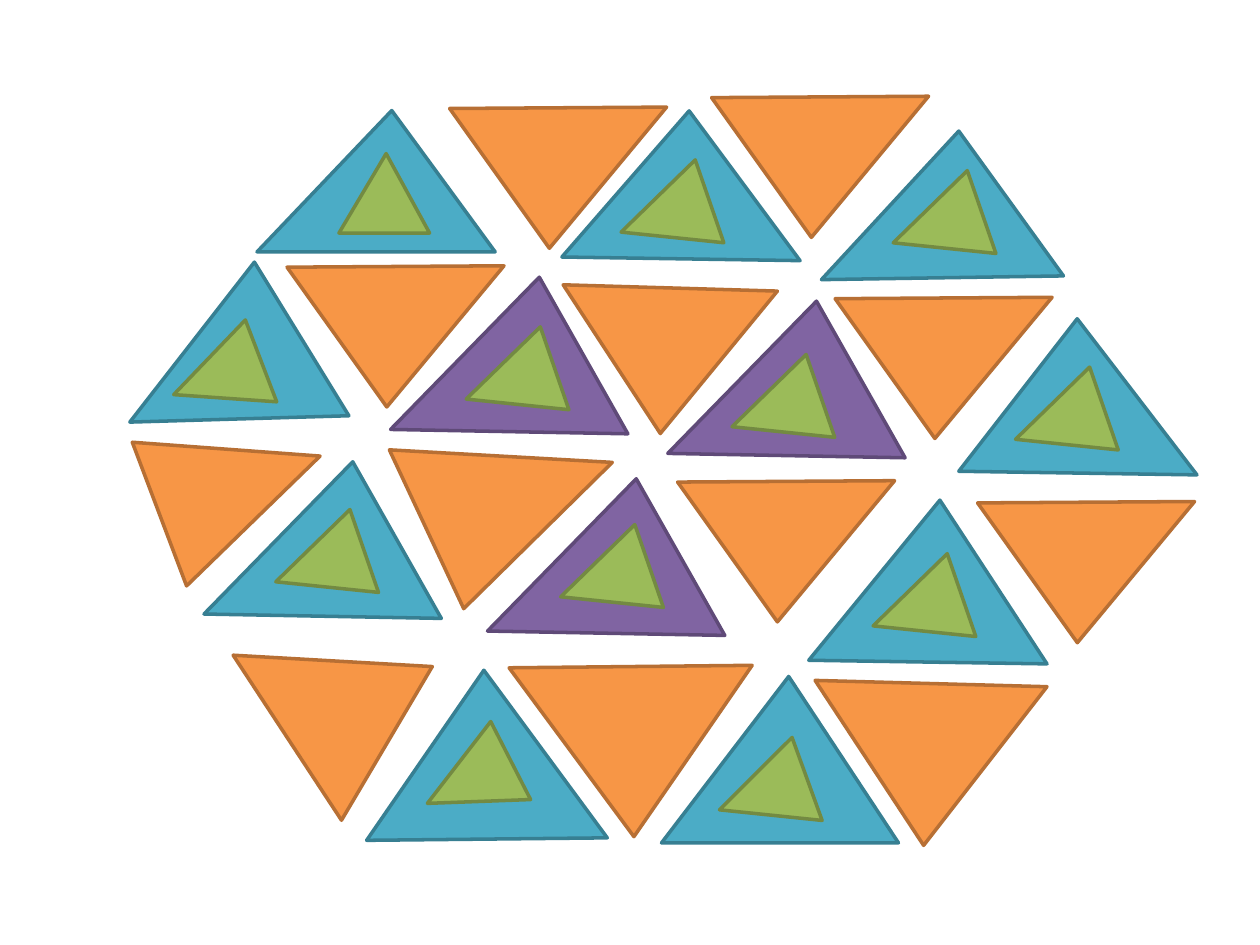
from dataclasses import dataclass
from math import cos, radians, sin

from lxml import etree
from pptx import Presentation
from pptx.dml.color import RGBColor
from pptx.enum.shapes import MSO_SHAPE
from pptx.oxml.ns import qn
from pptx.util import Pt

TRIANGLE = MSO_SHAPE.ISOSCELES_TRIANGLE
BLANK_LAYOUT = 6
Point = tuple[float, float]

FILLS = {"orange": "F79646", "blue": "4BACC6", "purple": "8064A2", "green": "9BBB59"}
LINES = {"orange": "B76F34", "blue": "377F92", "purple": "5F4A78", "green": "738A42"}


@dataclass
class Tile:
    """A triangle by its visible corners and the turn of its frame."""
    corners: list[Point]
    turn: float
    color: str


@dataclass
class Core:
    """The small green triangle inside an upright tile."""
    left: float
    top: float
    width: float = 59
    turn: float = 5.9
    peak: float = 0.642
    height: float = 45.4


def rotate(point: Point, degrees: float) -> Point:
    x, y = point
    angle = radians(degrees)
    return x * cos(angle) - y * sin(angle), x * sin(angle) + y * cos(angle)


def middle(values: list[float]) -> float:
    return (min(values) + max(values)) / 2


def paint(shape, color: str) -> None:
    shape.shadow.inherit = False
    shape.fill.solid()
    shape.fill.fore_color.rgb = RGBColor.from_string(FILLS[color])
    shape.line.color.rgb = RGBColor.from_string(LINES[color])
    shape.line.width = Pt(2)
    etree.SubElement(shape.element.spPr.find(qn("a:ln")), qn("a:round"))


def draw_tile(shapes, tile: Tile) -> None:
    # Turn the corners back, so that the frame's rotation restores them
    flat = [rotate(corner, -tile.turn) for corner in tile.corners]
    center = middle([x for x, _ in flat]), middle([y for _, y in flat])
    turned = rotate(center, tile.turn)
    shift_x, shift_y = turned[0] - center[0], turned[1] - center[1]
    start, *others = [(Pt(x + shift_x), Pt(y + shift_y)) for x, y in flat]
    builder = shapes.build_freeform(*start)
    builder.add_line_segments(others, close=True)
    shape = builder.convert_to_shape()
    shape.rotation = tile.turn
    paint(shape, tile.color)


def draw_core(shapes, core: Core) -> None:
    shape = shapes.add_shape(TRIANGLE, Pt(core.left), Pt(core.top),
                             Pt(core.width), Pt(core.height))
    shape.adjustments[0] = core.peak
    shape.rotation = core.turn
    paint(shape, "green")


def orange(right: Point, tip: Point, left: Point, turn: float) -> Tile:
    return Tile([right, tip, left], turn, "orange")


def regular_orange(x: float, y: float) -> Tile:
    return orange((x, y), (x - 67, y + 80.7), (x - 124, y + 0.8), 179.3)


def blue(left: Point, peak: Point, right: Point, turn: float = 8.1) -> Tile:
    return Tile([left, peak, right], turn, "blue")


def regular_upright(x: float, y: float, color: str) -> Tile:
    return Tile([(x - 85, y + 87), (x, y), (x + 50.6, y + 89.5)], 8.1, color)


# Tiles pointing down
ORANGE_TILES = [
    orange((598.3, 392.4), (527.8, 483.1), (465.8, 388.8), 184.3),
    regular_orange(380.9, 61.2),
    regular_orange(530.6, 55),
    regular_orange(601.2, 169.9),
    regular_orange(682.6, 286.6),
    regular_orange(511.2, 274.7),
    orange((444.2, 166.3), (377.3, 247.7), (321.8, 162.7), 179.3),
    regular_orange(288, 151.9),
    orange((182.9, 260.6), (106.6, 334.8), (75.6, 252.7), 188.1),
    orange((349.9, 264.2), (265, 347.8), (222.5, 257), 190.9),
    orange((429.8, 380.2), (362.2, 478.1), (290.9, 381.6), 183.4),
    orange((247, 380.9), (195.1, 468.7), (133.2, 374.4), 175.8),
]

# Tiles pointing up, each with its core
UPRIGHT_TILES = [
    (blue((146.9, 144), (223.9, 63.2), (283, 144), 7.1),
     Core(193.7, 87.8, width=51.8, turn=0, peak=0.521)),
    (blue((321.1, 146.9), (393.8, 63.4), (457.2, 149)), Core(357.1, 90.4)),
    (blue((469.4, 159.8), (547.9, 74.9), (607.7, 157.7), 4.6), Core(512.6, 96.5)),
    (regular_upright(308.2, 158.4, "purple"), Core(268.6, 185.8)),
    (blue((74.2, 241.2), (145.4, 149.8), (199.4, 237.6), 6.1),
     Core(100.8, 182.2, turn=4)),
    (regular_upright(466.6, 172.1, "purple"), Core(420.5, 201.6)),
    (blue((547.9, 269.3), (615.6, 182.2), (684, 271.4)), Core(582.5, 208.8)),
    (blue((462.2, 377.3), (537.1, 285.8), (598.3, 379.4)), Core(501.1, 315.4)),
    (regular_upright(363.6, 273.6, "purple"), Core(322.6, 298.8)),
    (regular_upright(201.6, 263.9, "blue"), Core(159.8, 290.2)),
    (blue((209.5, 480.2), (276.5, 383), (347, 478.8), 0),
     Core(243.4, 412.6, turn=357.9)),
    (blue((378, 481.7), (450.7, 386.6), (513.4, 481.7), 7.1),
     Core(413.3, 420.5, peak=0.628)),
]

deck = Presentation()
deck.slide_width, deck.slide_height = Pt(720), Pt(540)
page = deck.slides.add_slide(deck.slide_layouts[BLANK_LAYOUT])

for down_tile in ORANGE_TILES:
    draw_tile(page.shapes, down_tile)

for up_tile, green_core in UPRIGHT_TILES:
    group = page.shapes.add_group_shape()
    draw_tile(group.shapes, up_tile)
    draw_core(group.shapes, green_core)

deck.save("out.pptx")
